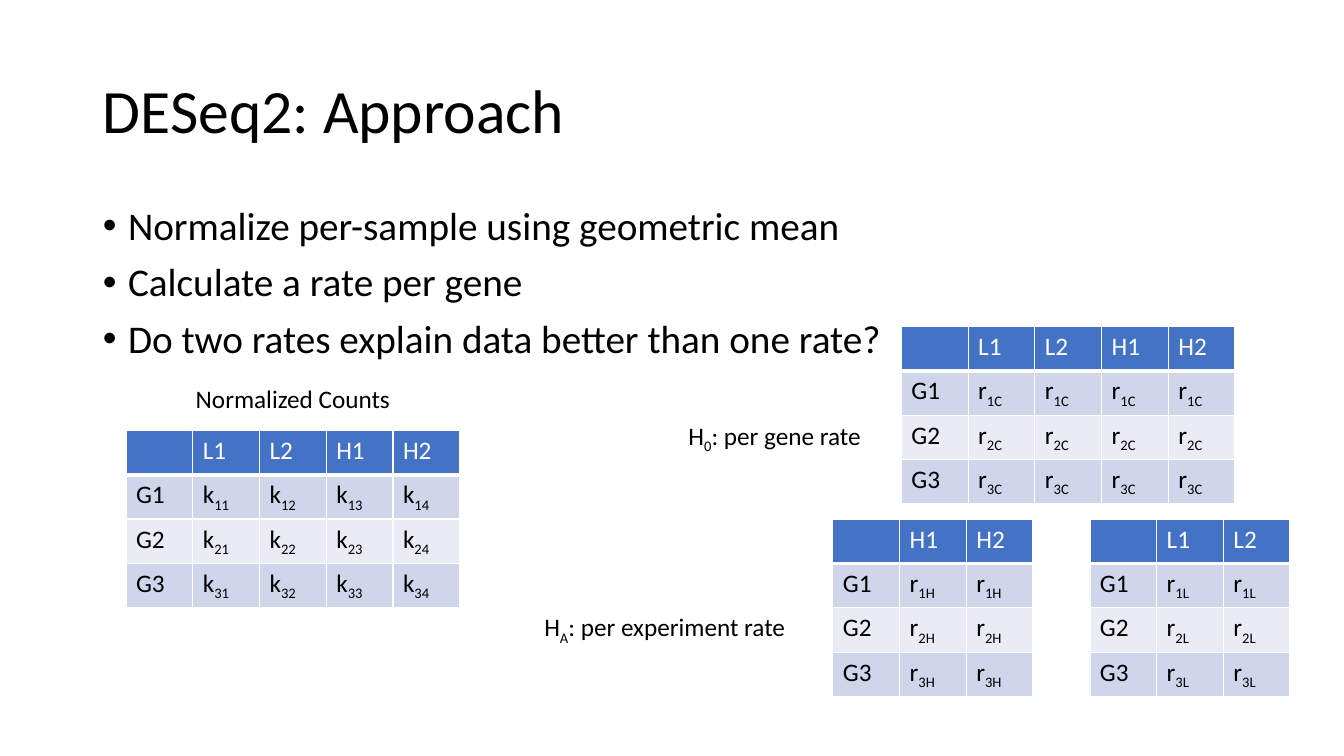
import pptx
import pptx.dml.color
import pptx.enum.text
import pptx.oxml
import pptx.oxml.ns
import pptx.util

WIDTH, HEIGHT = 13.33, 7.5
COL, ROW = 3.31 / 5, 0.44  # table grid, inches
MARGIN, CONTENT_W = 0.92, 11.5
BLACK, WHITE, HEADER = "000000", "FFFFFF", "4472C4"
BANDS = ("CFD5EA", "E9EBF5")
GENES = ("1", "2", "3")


def rgb(value):
    return pptx.dml.color.RGBColor.from_string(value)


def box(*lengths):
    return [pptx.util.Inches(v) for v in lengths]


def write(p, text, size=18, color=BLACK):
    """Fill a paragraph; text between underscores becomes a subscript."""
    p.font.name, p.font.size, p.font.bold = "Calibri", pptx.util.Pt(size), False
    p.font.color.rgb = rgb(color)
    for i, part in enumerate(text.split("_")):
        if part:
            r = p.add_run()
            r.text = part
            if i % 2:
                r.font._element.set("baseline", "-25000")


def place(shape, left, top, width, height):
    shape.left, shape.top, shape.width, shape.height = box(left, top, width, height)


def add_title(s, text):
    sp = s.shapes.title
    place(sp, MARGIN, 0.4, CONTENT_W, 1.45)
    sp.text_frame.vertical_anchor = pptx.enum.text.MSO_ANCHOR.MIDDLE
    p = sp.text_frame.paragraphs[0]
    p.alignment = pptx.enum.text.PP_ALIGN.LEFT
    p.line_spacing = 0.9
    write(p, text, 44)


def add_bullets(s, items):
    sp = s.placeholders[1]
    place(sp, MARGIN, 2, CONTENT_W, 4.76)
    tf = sp.text_frame
    tf.auto_size = pptx.enum.text.MSO_AUTO_SIZE.NONE
    for i, item in enumerate(items):
        p = tf.add_paragraph() if i else tf.paragraphs[0]
        p.line_spacing, p.space_before = 0.9, pptx.util.Pt(10)
        indent = pptx.util.Inches(0.25)
        pPr = p._p.get_or_add_pPr()
        pPr.set("marL", str(indent))
        pPr.set("indent", str(-indent))
        write(p, item, 28)


def add_label(s, text, left, top, width, align=pptx.enum.text.PP_ALIGN.LEFT):
    tf = s.shapes.add_textbox(*box(left, top, width, 0.4)).text_frame
    tf.word_wrap = True
    tf.paragraphs[0].alignment = align
    write(tf.paragraphs[0], text)


def add_borders(cell, bottom):
    tcPr = cell._tc.get_or_add_tcPr()
    for side, points in (("L", 1), ("R", 1), ("T", 1), ("B", bottom)):
        tcPr.append(pptx.oxml.parse_xml(
            f'<a:ln{side} {pptx.oxml.ns.nsdecls("a")} w="{pptx.util.Pt(points)}">'
            f'<a:solidFill><a:srgbClr val="{WHITE}"/></a:solidFill></a:ln{side}>'))


def add_gene_table(s, left, top, samples, value):
    """Genes by samples; value(gene, column) gives the text of a cell."""
    rows = [["", *samples]]
    rows += [[f"G{g}"] + [value(g, c) for c in range(1, len(samples) + 1)] for g in GENES]
    n_cols = len(rows[0])
    table = s.shapes.add_table(
        len(rows), n_cols, *box(left, top, n_cols * COL, len(rows) * ROW)).table
    for column in table.columns:
        column.width = pptx.util.Inches(COL)
    for i, texts in enumerate(rows):
        table.rows[i].height = pptx.util.Inches(ROW)
        for j, text in enumerate(texts):
            cell = table.cell(i, j)
            add_borders(cell, 1 if i else 3)
            cell.fill.solid()
            cell.fill.fore_color.rgb = rgb(BANDS[(i - 1) % 2] if i else HEADER)
            write(cell.text_frame.paragraphs[0], text, color=BLACK if i else WHITE)


def rate(group):
    return lambda gene, column: f"r_{gene}{group}_"


def main():
    prs = pptx.Presentation()
    prs.slide_width, prs.slide_height = box(WIDTH, HEIGHT)
    s = prs.slides.add_slide(prs.slide_layouts[1])

    # Title and list
    add_title(s, "DESeq2: Approach")
    add_bullets(s, ["Normalize per-sample using geometric mean",
                    "Calculate a rate per gene",
                    "Do two rates explain data better than one rate?"])

    # Counts, then rates under each hypothesis
    low, high = ["L1", "L2"], ["H1", "H2"]
    add_gene_table(s, 1.25, 4.27, low + high, lambda gene, column: f"k_{gene}{column}_")
    add_gene_table(s, 10.81, 5.15, low, rate("L"))
    add_gene_table(s, 8.26, 5.15, high, rate("H"))
    add_gene_table(s, 8.94, 3.24, low + high, rate("C"))

    # Table labels
    add_label(s, "H_0_: per gene rate", 6.73, 4.12, 2.04)
    add_label(s, "H_A_: per experiment rate", 5.3, 6.02, 2.67)
    add_label(s, "Normalized Counts", 1.25, 3.75, 5 * COL, pptx.enum.text.PP_ALIGN.CENTER)

    prs.save("out.pptx")


if __name__ == "__main__":
    main()
